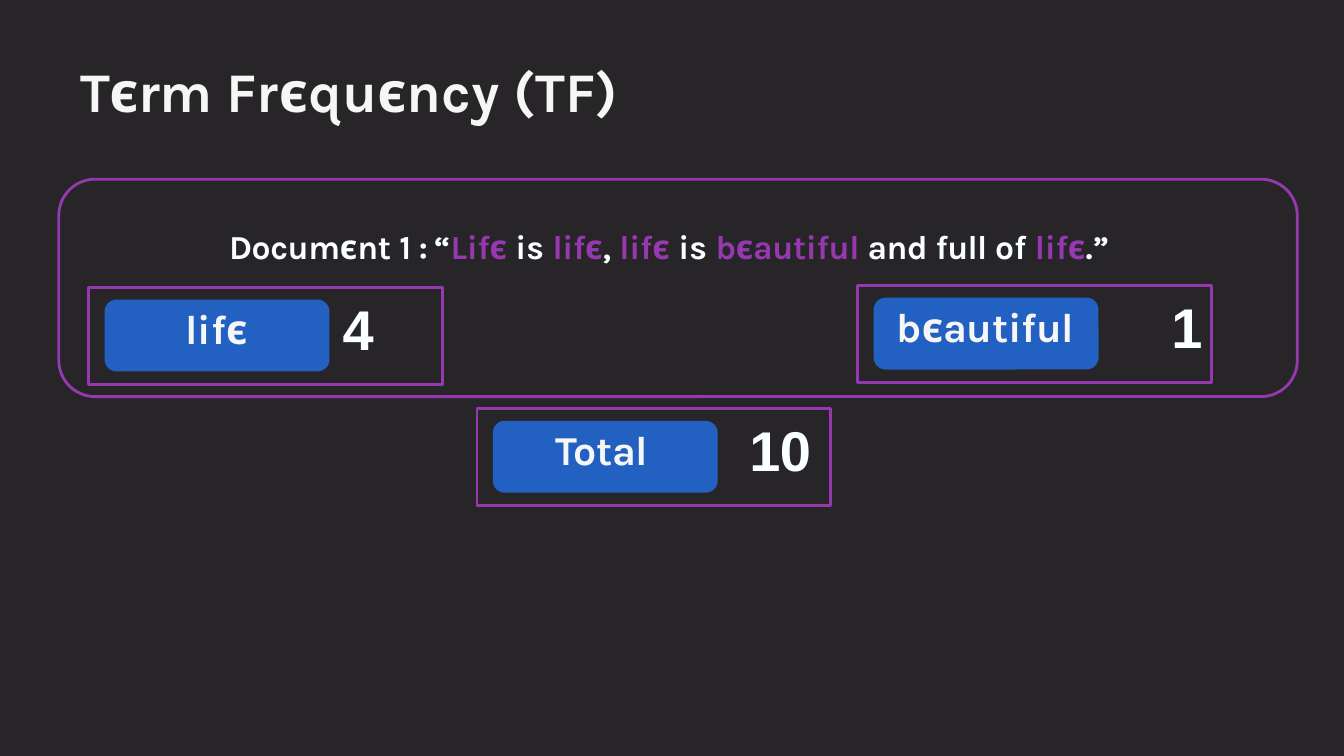
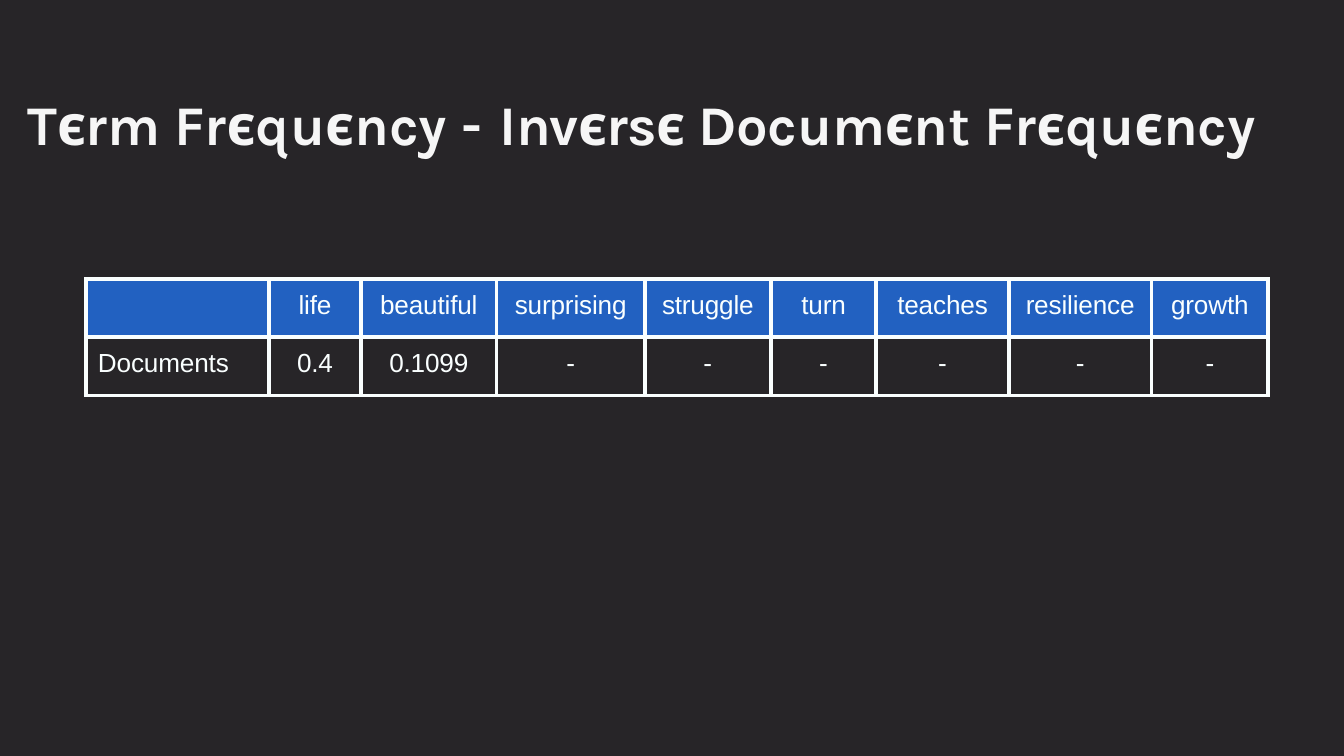
import pptx
import pptx.dml.color
import pptx.enum.shapes
import pptx.enum.text
import pptx.oxml.ns
import pptx.util
from lxml import etree

Pt = pptx.util.Pt
SHAPES = pptx.enum.shapes.MSO_SHAPE
ALIGN = pptx.enum.text.PP_ALIGN

DARK, BLUE, PURPLE = "272528", "2261C1", "9639B1"
WHITE, SOFT_WHITE = "FAFFFF", "F6F6F6"


def color(hex_code):
    return pptx.dml.color.RGBColor.from_string(hex_code)


def add_xml(parent, tag, **attributes):
    return etree.SubElement(parent, pptx.oxml.ns.qn(tag), attributes)


def write_text(frame, runs, font="Karla", size=18, ink=WHITE, bold=True,
               align=ALIGN.LEFT, indent=0):
    """Write one paragraph; each run is (text, spacing) or (text, spacing, own ink)."""
    paragraph = frame.paragraphs[0]
    paragraph.alignment = align
    properties = paragraph._p.get_or_add_pPr()
    properties.set("marL", str(Pt(indent)))
    properties.set("indent", "0")
    for text, spacing, *own_ink in runs:
        run = paragraph.add_run()
        run.text = text
        run.font.name = font
        run.font.size = Pt(size)
        run.font.bold = bold
        run.font.color.rgb = color(own_ink[0] if own_ink else ink)
        run.font._element.set("spc", str(round(spacing * 100)))


class Deck:
    """Holds the shared style and the slide being filled; lengths are in points."""

    def __init__(self):
        self.presentation = pptx.Presentation()
        self.presentation.slide_width = Pt(720)
        self.presentation.slide_height = Pt(405)
        self.slide = None

    def new_slide(self):
        self.slide = self.presentation.slides.add_slide(self.presentation.slide_layouts[6])
        background = self.slide.background.fill
        background.solid()
        background.fore_color.rgb = color(DARK)

    def prepare(self, frame, top_inset):
        frame.word_wrap = True
        frame.vertical_anchor = pptx.enum.text.MSO_ANCHOR.TOP
        frame.margin_left = frame.margin_right = frame.margin_bottom = 0
        frame.margin_top = Pt(top_inset)
        return frame

    def text(self, left, top, width, height, runs, **look):
        box = self.slide.shapes.add_textbox(Pt(left), Pt(top), Pt(width), Pt(height))
        write_text(self.prepare(box.text_frame, 0.7), runs, **look)

    def title(self, left, top, width, runs):
        self.text(left, top, width, 38, runs, size=30, ink=SOFT_WHITE, indent=9)

    def shape(self, kind, left, top, width, height, fill=None, line=None):
        shape = self.slide.shapes.add_shape(kind, Pt(left), Pt(top), Pt(width), Pt(height))
        shape.shadow.inherit = False
        if fill:
            shape.fill.solid()
            shape.fill.fore_color.rgb = color(fill)
        else:
            shape.fill.background()
        if line:
            shape.line.color.rgb = color(line)
            shape.line.width = Pt(1.5)
        else:
            shape.line.fill.background()
        return shape

    def term_count(self, left, top, term, count, term_indent, count_offset):
        """Outlined box with a term on a blue label and its count beside it."""
        self.shape(SHAPES.ROUNDED_RECTANGLE, left + 8.5, top + 6.5, 120.5, 38.5, fill=BLUE)
        frame = self.shape(SHAPES.RECTANGLE, left, top, 189.5, 52, line=PURPLE).text_frame
        write_text(self.prepare(frame, 8.4), [(term, -0.1)],
                   size=22, ink=SOFT_WHITE, indent=term_indent)
        self.text(left + count_offset, top + 3, 40, 36, [(count, -0.3)],
                  font="Arial", size=30)

    def table(self, left, top, widths, row_height, rows):
        grid = self.slide.shapes.add_table(
            len(rows), len(widths), Pt(left), Pt(top),
            Pt(sum(widths)), Pt(row_height * len(rows))).table
        grid.first_row = grid.horz_banding = False
        for column, width in zip(grid.columns, widths):
            column.width = Pt(width)
        for r, values in enumerate(rows):
            grid.rows[r].height = Pt(row_height)
            for c, value in enumerate(values):
                self.fill_cell(grid.cell(r, c), value, r == 0, c == 0)

    def fill_cell(self, cell, value, is_header, is_label):
        cell.margin_left = cell.margin_right = cell.margin_bottom = 0
        cell.margin_top = Pt(6.3)
        if value:
            write_text(cell.text_frame, [(value, -0.1)], font="Arial", size=14, bold=False,
                       align=ALIGN.LEFT if is_label else ALIGN.CENTER,
                       indent=6.5 if is_label else 0)
        properties = cell._tc.get_or_add_tcPr()
        for side in ("a:lnL", "a:lnR", "a:lnT", "a:lnB"):
            border = add_xml(properties, side, w=str(Pt(2.25)))
            add_xml(add_xml(border, "a:solidFill"), "a:srgbClr", val=WHITE)
        if is_header:
            cell.fill.solid()
            cell.fill.fore_color.rgb = color(BLUE)
        else:
            cell.fill.background()


def term_frequency(deck):
    deck.new_slide()
    deck.title(34, 29.5, 346, [("Tєrm ", -0.3), ("Frєquєncy ", 0), ("(TF)", -0.2)])
    deck.shape(SHAPES.ROUNDED_RECTANGLE, 31.5, 96, 663.5, 116.5, line=PURPLE)
    deck.text(122, 120.5, 482, 24, [
        ("Documєnt ", -0.2), ("1 ", -0.5), (": ", -1.2), ("“", -0.2),
        ("Lifє ", -0.2, PURPLE), ("is ", 0), ("lifє", -0.2, PURPLE), (", ", -0.2),
        ("lifє ", -0.1, PURPLE), ("is ", 0), ("bєautiful ", -0.2, PURPLE),
        ("and ", -0.3), ("full ", -0.4), ("of ", 0), ("lifє", -0.1, PURPLE), (".”", -0.1),
    ], indent=0.7)
    deck.term_count(47.5, 154, "lifє", "4", term_indent=52, count_offset=136)
    deck.term_count(459.5, 153, "bєautiful", "1", term_indent=21, count_offset=168)
    deck.term_count(255.5, 219, "Total", "10", term_indent=42, count_offset=146)


def inverse_document_frequency(deck):
    deck.new_slide()
    deck.title(6, 47, 728, [
        ("Tєrm ", -0.3), ("Frєquєncy ", 0), ("- ", 0.9),
        ("Invєrsє ", -0.5), ("Documєnt ", -0.2), ("Frєquєncy", -0.1)])
    scores = {"life": "0.4", "beautiful": "0.1099", "surprising": "-", "struggle": "-",
              "turn": "-", "teaches": "-", "resilience": "-", "growth": "-"}
    deck.table(46, 149.5, [98, 49.5, 72.5, 79.5, 67.5, 56.5, 71, 76.5, 62.5], 31.2,
               [["", *scores], ["Documents", *scores.values()]])


def main():
    deck = Deck()
    term_frequency(deck)
    inverse_document_frequency(deck)
    deck.presentation.save("out.pptx")


if __name__ == "__main__":
    main()
